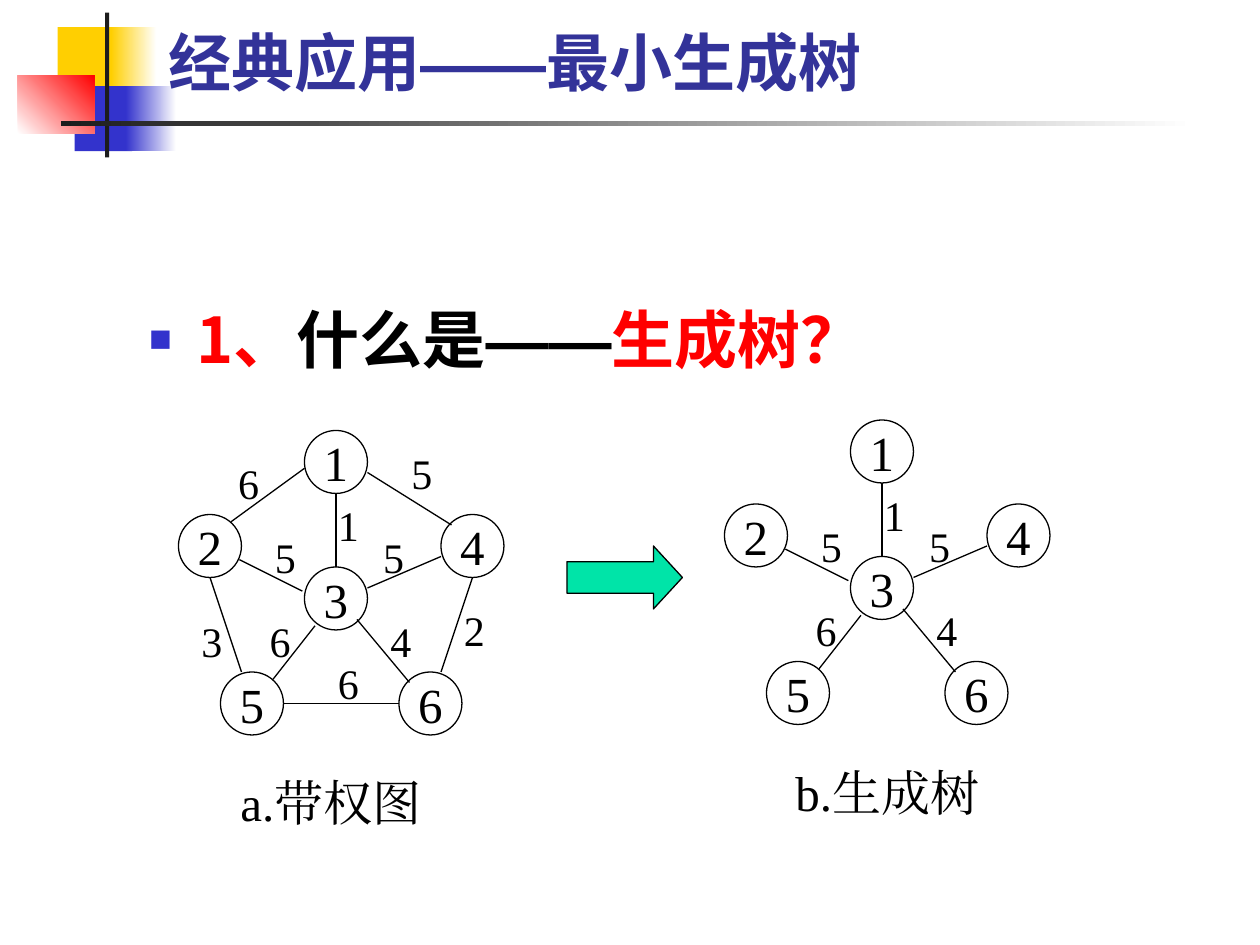
"""Build the slide that introduces spanning trees with a weighted graph and its tree."""
from lxml import etree
from pptx import Presentation
from pptx.dml.color import RGBColor
from pptx.enum.shapes import MSO_CONNECTOR, MSO_SHAPE
from pptx.enum.text import MSO_ANCHOR, MSO_AUTO_SIZE, PP_ALIGN
from pptx.oxml.ns import qn
from pptx.util import Pt

RECTANGLE, OVAL, RIGHT_ARROW = MSO_SHAPE.RECTANGLE, MSO_SHAPE.OVAL, MSO_SHAPE.RIGHT_ARROW
STRAIGHT = MSO_CONNECTOR.STRAIGHT
LEFT, CENTER = PP_ALIGN.LEFT, PP_ALIGN.CENTER
TOP, MIDDLE, BOTTOM = MSO_ANCHOR.TOP, MSO_ANCHOR.MIDDLE, MSO_ANCHOR.BOTTOM
FIXED, GROW = MSO_AUTO_SIZE.NONE, MSO_AUTO_SIZE.SHAPE_TO_FIT_TEXT

BLACK = RGBColor(0x00, 0x00, 0x00)
WHITE = RGBColor(0xFF, 0xFF, 0xFF)
RED = RGBColor(0xFF, 0x00, 0x00)
YELLOW = RGBColor(0xFF, 0xCF, 0x01)
BLUE = RGBColor(0x33, 0x33, 0xCC)
INDIGO = RGBColor(0x33, 0x33, 0x99)
CHARCOAL = RGBColor(0x1C, 0x1C, 0x1C)
GREEN = RGBColor(0x00, 0xE4, 0xA8)

EMU_PER_PX = 7620
NODE_SIZE = 60
LABEL_SIZE = (40, 60)
CAPTION_SIZE = (230, 68)
SERIF = "Times New Roman"

TITLE = [("经典应用", "Roboto", INDIGO), ("——", "Arial", INDIGO), ("最小生成树", "Roboto", INDIGO)]
QUESTION = [
    ("1、", "Noto Sans CJK SC", RED),
    ("什么是", "Noto Sans CJK SC", BLACK),
    ("——", "Arial", BLACK),
    ("生成树？", "Noto Sans CJK SC", RED),
]
TITLE_BOX = (148, 30, 1026, 70)
QUESTION_BOX = (130, 280, 780, 100)
ARROW_BOX = (540, 520, 110, 60)

DECORATIONS = [
    ((55, 26, 58, 62), [YELLOW], 0),
    ((106, 26, 43, 62), [YELLOW, WHITE], 0),
    ((71, 82, 55, 62), [BLUE], 0),
    ((120, 82, 48, 62), [BLUE, WHITE], 0),
    ((17, 72, 73, 55), [WHITE, RED], 45),
    ((100, 12, 4, 138), [CHARCOAL], 0),
    ((58, 115, 1080, 5), [CHARCOAL, WHITE], 0),
]

NODES = {
    "1": (290, 410), "2": (170, 490), "3": (290, 540),
    "4": (420, 490), "5": (210, 640), "6": (380, 640),
}
EDGES = {
    "12": ("6", (220, 497), (290, 446), (215, 430)),
    "35": ("6", (260, 647), (300, 596), (245, 580)),
    "34": ("5", (350, 560), (420, 530), (353, 500)),
    "23": ("5", (228, 533), (288, 563), (250, 500)),
    "14": ("5", (350, 450), (430, 500), (380, 420)),
    "46": ("2", (420, 640), (450, 550), (430, 570)),
    "25": ("3", (230, 640), (200, 550), (180, 580)),
    "56": ("6", (270, 670), (380, 670), (310, 620)),
    "13": ("1", (320, 540), (320, 470), (310, 470)),
    "36": ("4", (340, 590), (390, 650), (360, 580)),
}
TREE_EDGES = ["35", "34", "23", "13", "36"]
GRAPHS = [
    ((0, 0), list(EDGES), "a.带权图", (200, 730)),
    ((520, -10), TREE_EDGES, "b.生成树", (730, 720)),
]


def px(*lengths):
    return [length * EMU_PER_PX for length in lengths]


def write(shape, text, font=SERIF, color=BLACK, size=28, bold=False, align=CENTER,
          anchor=TOP, wrap=True, fit=FIXED):
    frame = shape.text_frame
    frame.word_wrap = wrap
    frame.auto_size = fit
    frame.vertical_anchor = anchor
    paragraph = frame.paragraphs[0]
    paragraph.alignment = align
    paragraph.space_before = Pt(0)
    runs = [(text, font, color)] if isinstance(text, str) else text
    for run_text, run_font, run_color in runs:
        run = paragraph.add_run()
        run.text = run_text
        run.font.name = run_font
        run.font.size = Pt(size)
        run.font.bold = bold
        run.font.color.rgb = run_color
        east_asian = etree.SubElement(run.font._element, qn("a:ea"))
        east_asian.set("typeface", run_font)
    return paragraph


def add_bullet(paragraph, character, color, percent, indent):
    properties = paragraph._p.get_or_add_pPr()
    properties.set("marL", str(indent))
    properties.set("indent", str(-indent))
    bullet_color = etree.SubElement(properties, qn("a:buClr"))
    etree.SubElement(bullet_color, qn("a:srgbClr")).set("val", str(color))
    etree.SubElement(properties, qn("a:buSzPct")).set("val", str(percent * 1000))
    etree.SubElement(properties, qn("a:buChar")).set("char", character)


def add_shape(shapes, kind, box, colors=(), angle=0, outlined=True):
    shape = shapes.add_shape(kind, *px(*box))
    shape.shadow.inherit = False
    if not colors:
        shape.fill.background()
    elif len(colors) == 1:
        shape.fill.solid()
        shape.fill.fore_color.rgb = colors[0]
    else:
        shape.fill.gradient()
        shape.fill.gradient_angle = angle
        for stop, color, position in zip(shape.fill.gradient_stops, colors, (0, 1)):
            stop.color.rgb = color
            stop.position = position
    if outlined:
        shape.line.color.rgb = BLACK
        shape.line.width = Pt(0.75)
    else:
        shape.line.fill.background()
    return shape


def add_edge(shapes, start, end):
    edge = shapes.add_connector(STRAIGHT, *px(*start, *end))
    edge.line.color.rgb = BLACK
    edge.line.width = Pt(0.75)
    etree.SubElement(edge._element.spPr, qn("a:effectLst"))


def add_graph(slide, offset, edge_names, caption, caption_place):
    def moved(point):
        return point[0] + offset[0], point[1] + offset[1]

    shapes = slide.shapes.add_group_shape().shapes
    for name, place in NODES.items():
        node = add_shape(shapes, OVAL, (*moved(place), NODE_SIZE, NODE_SIZE))
        write(node, name, anchor=MIDDLE, wrap=False)
    for edge_name in edge_names:
        weight, start, end, label_place = EDGES[edge_name]
        add_edge(shapes, moved(start), moved(end))
        label = shapes.add_textbox(*px(*moved(label_place), *LABEL_SIZE))
        write(label, weight, size=24, fit=GROW)
    caption_box = slide.shapes.add_textbox(*px(*caption_place, *CAPTION_SIZE))
    write(caption_box, caption, fit=GROW)


def place_placeholder(placeholder, box):
    placeholder.left, placeholder.top, placeholder.width, placeholder.height = px(*box)
    placeholder._element.getparent().append(placeholder._element)


def main():
    presentation = Presentation()
    presentation.slide_width, presentation.slide_height = px(1200, 900)
    slide = presentation.slides.add_slide(presentation.slide_layouts[1])
    for box, colors, angle in DECORATIONS:
        add_shape(slide.shapes, RECTANGLE, box, colors, angle, outlined=False)

    title, body = slide.shapes.title, slide.placeholders[1]
    place_placeholder(title, TITLE_BOX)
    write(title, TITLE, size=36, bold=True, align=LEFT, anchor=BOTTOM)
    place_placeholder(body, QUESTION_BOX)
    question = write(body, QUESTION, size=36, bold=True, align=LEFT)
    add_bullet(question, "■", BLUE, 60, px(45)[0])

    for graph in GRAPHS:
        add_graph(slide, *graph)
    arrow = add_shape(slide.shapes, RIGHT_ARROW, ARROW_BOX, [GREEN])
    arrow.adjustments[0], arrow.adjustments[1] = 0.5, 0.46
    presentation.save("out.pptx")


if __name__ == "__main__":
    main()
